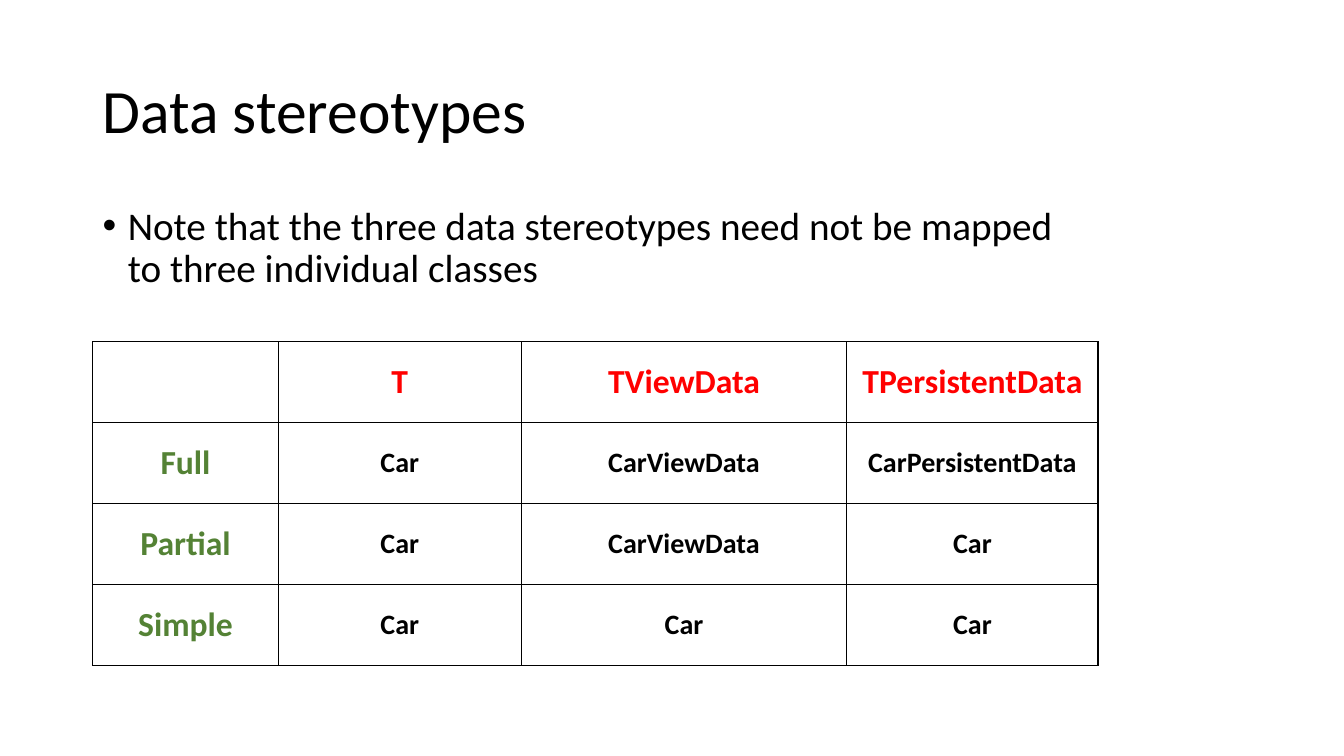
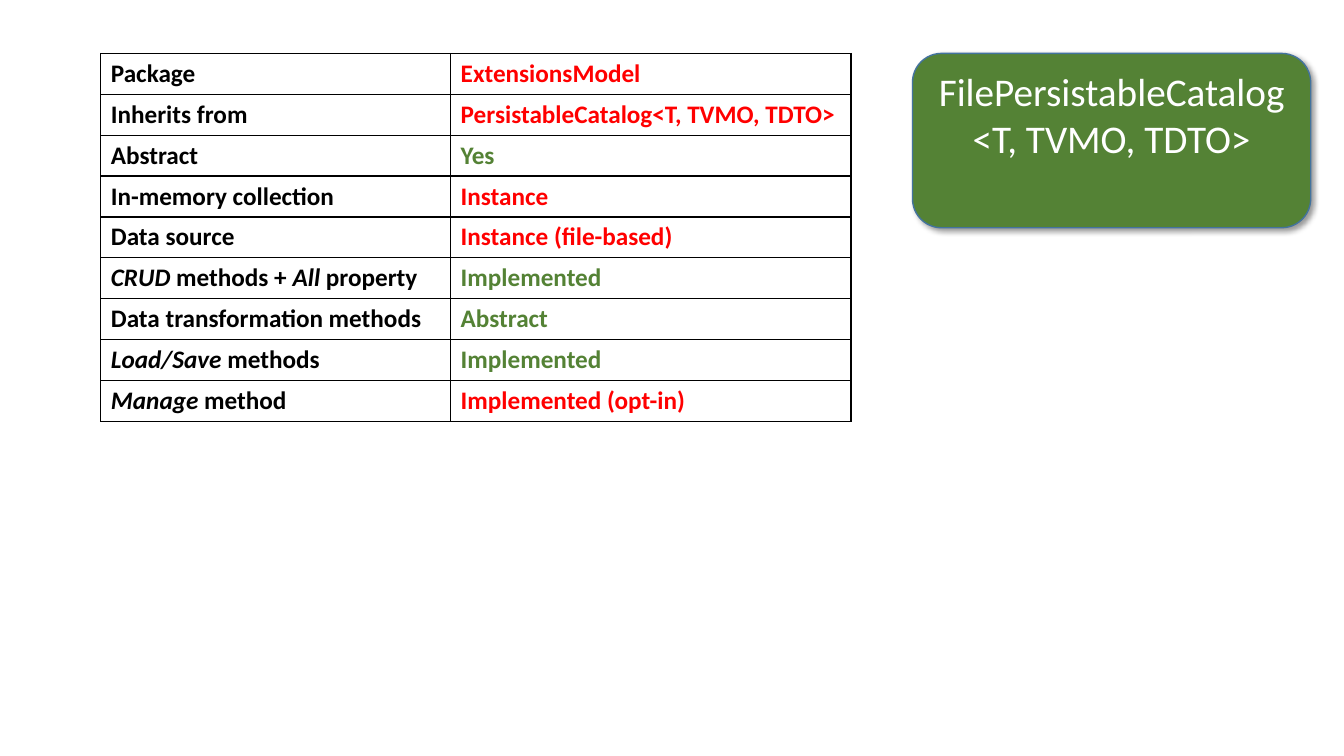
import lxml.etree
import pptx
import pptx.dml.color
import pptx.enum.shapes
import pptx.enum.text
import pptx.oxml.ns
import pptx.util

Inches = pptx.util.Inches
Pt = pptx.util.Pt
ALIGN = pptx.enum.text.PP_ALIGN
ANCHOR = pptx.enum.text.MSO_ANCHOR
FONT = "Calibri"
COLOURS = {
    "black": "000000",
    "white": "FFFFFF",
    "red": "FF0000",
    "green": "548235",
    "outline": "43739E",
}


def rgb(name):
    return pptx.dml.color.RGBColor.from_string(COLOURS[name])


def add_element(parent, tag, **attributes):
    element = lxml.etree.SubElement(parent, pptx.oxml.ns.qn(tag))
    for key, value in attributes.items():
        element.set(key, str(value))
    return element


def write_text(paragraph, text, size=18, colour="black", bold=False,
               align=ALIGN.LEFT, line_spacing=1.0):
    paragraph.alignment = align
    paragraph.line_spacing = line_spacing
    for index, part in enumerate(text.split("*")):
        if part:
            run = paragraph.add_run()
            run.text = part
            run.font.name = FONT
            run.font.size = Pt(size)
            run.font.bold = bold
            run.font.italic = index % 2 == 1
            run.font.color.rgb = rgb(colour)


class Deck:
    def __init__(self):
        self.presentation = pptx.Presentation()
        self.presentation.slide_width = Inches(13.33)
        self.presentation.slide_height = Inches(7.5)
        self.slide = None

    def add_slide(self):
        layout = self.presentation.slide_layouts[6]
        self.slide = self.presentation.slides.add_slide(layout)

    def text_box(self, text, left, top, width, height, size,
                 anchor=ANCHOR.TOP, bullet=False):
        shape = self.slide.shapes.add_textbox(
            Inches(left), Inches(top), Inches(width), Inches(height))
        frame = shape.text_frame
        frame.word_wrap = True
        frame.vertical_anchor = anchor
        paragraph = frame.paragraphs[0]
        write_text(paragraph, text, size=size, line_spacing=0.9)
        if bullet:
            properties = paragraph._p.get_or_add_pPr()
            properties.set("marL", str(Inches(0.25)))
            properties.set("indent", str(-Inches(0.25)))
            add_element(properties, "a:buFont", typeface="Arial")
            add_element(properties, "a:buChar", char="•")

    def title(self, text):
        self.text_box(text, 0.92, 0.4, 11.5, 1.45, 44, anchor=ANCHOR.MIDDLE)

    def class_box(self, lines, left, top, width, height):
        shape = self.slide.shapes.add_shape(
            pptx.enum.shapes.MSO_SHAPE.ROUNDED_RECTANGLE,
            Inches(left), Inches(top), Inches(width), Inches(height))
        shape.fill.solid()
        shape.fill.fore_color.rgb = rgb("green")
        shape.line.color.rgb = rgb("outline")
        shape.line.width = Pt(1)
        self.drop_shadow(shape)
        frame = shape.text_frame
        frame.word_wrap = True
        frame.vertical_anchor = ANCHOR.TOP
        for index, line in enumerate(lines):
            paragraph = frame.add_paragraph() if index else frame.paragraphs[0]
            write_text(paragraph, line, size=28, colour="white",
                       align=ALIGN.CENTER)

    def drop_shadow(self, shape):
        shape.shadow.inherit = False
        effects = shape._element.spPr.find(pptx.oxml.ns.qn("a:effectLst"))
        shadow = add_element(effects, "a:outerShdw", blurRad=Pt(4), dist=Pt(3),
                             dir=45 * 60000, algn="tl", rotWithShape=0)
        colour = add_element(shadow, "a:srgbClr", val=COLOURS["black"])
        add_element(colour, "a:alpha", val=40000)

    def table(self, rows, left, top, column_widths, height, cell_format,
              anchor=ANCHOR.TOP):
        frame = self.slide.shapes.add_table(
            len(rows), len(column_widths), Inches(left), Inches(top),
            Inches(sum(column_widths)), Inches(height))
        table = frame.table
        table.first_row = False
        table.horz_banding = False
        for column, width in zip(table.columns, column_widths):
            column.width = Inches(width)
        for row_index, row in enumerate(rows):
            for column_index, text in enumerate(row):
                cell = table.cell(row_index, column_index)
                cell.vertical_anchor = anchor
                self.cell_borders(cell)
                cell.fill.background()
                write_text(cell.text_frame.paragraphs[0], text, bold=True,
                           **cell_format(row_index, column_index))

    def cell_borders(self, cell):
        properties = cell._tc.get_or_add_tcPr()
        for side in ("a:lnL", "a:lnR", "a:lnT", "a:lnB"):
            line = add_element(properties, side, w=Pt(1))
            fill = add_element(line, "a:solidFill")
            add_element(fill, "a:srgbClr", val=COLOURS["black"])


def stereotype_format(row, column):
    if row == 0:
        size, colour = 24, "red"
    elif column == 0:
        size, colour = 24, "green"
    else:
        size, colour = 20, "black"
    return {"size": size, "colour": colour, "align": ALIGN.CENTER}


def stereotypes_slide(deck):
    deck.add_slide()
    deck.title("Data stereotypes")
    deck.text_box("Note that the three data stereotypes need not be mapped "
                  "to three individual classes",
                  0.92, 2, 9.97, 1.25, 28, bullet=True)
    rows = [
        ("", "T", "TViewData", "TPersistentData"),
        ("Full", "Car", "CarViewData", "CarPersistentData"),
        ("Partial", "Car", "CarViewData", "Car"),
        ("Simple", "Car", "Car", "Car"),
    ]
    deck.table(rows, 0.92, 3.39, (1.84, 2.41, 3.23, 2.49), 3.21,
               stereotype_format, anchor=ANCHOR.MIDDLE)


def catalog_slide(deck):
    deck.add_slide()
    deck.class_box(("FilePersistableCatalog", "<T, TVMO, TDTO>"),
                   9.05, 0.53, 3.95, 1.73)
    features = [
        ("Package", "ExtensionsModel", "red"),
        ("Inherits from", "PersistableCatalog<T, TVMO, TDTO>", "red"),
        ("Abstract", "Yes", "green"),
        ("In-memory collection", "Instance", "red"),
        ("Data source", "Instance (file-based)", "red"),
        ("*CRUD* methods + *All* property", "Implemented", "green"),
        ("Data transformation methods", "Abstract", "green"),
        ("*Load/Save* methods", "Implemented", "green"),
        ("*Manage* method", "Implemented (opt-in)", "red"),
    ]

    def feature_format(row, column):
        return {"colour": features[row][2] if column else "black"}

    deck.table([feature[:2] for feature in features], 1, 0.53, (3.47, 3.97),
               3.65, feature_format)


def main():
    deck = Deck()
    stereotypes_slide(deck)
    catalog_slide(deck)
    deck.presentation.save("out.pptx")


if __name__ == "__main__":
    main()
